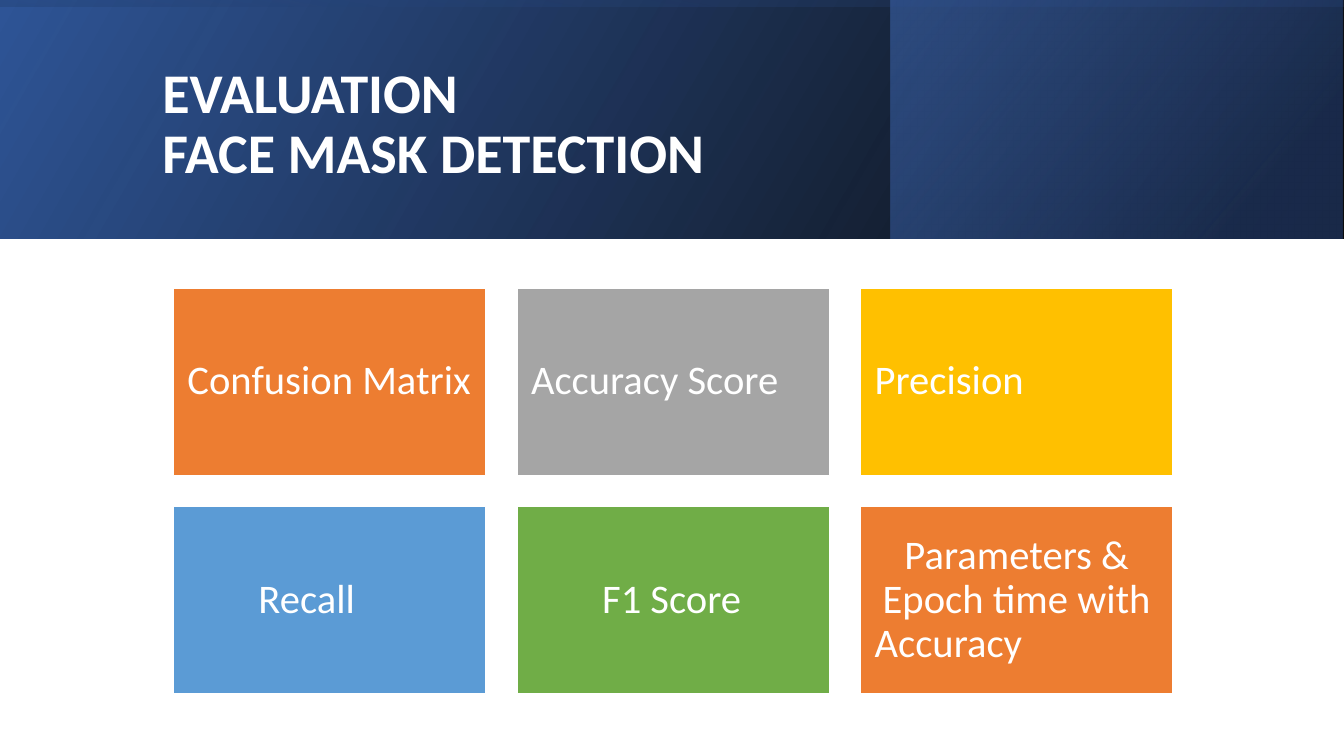
from dataclasses import dataclass
from lxml.etree import SubElement as Sub
from pptx import Presentation
from pptx.dml.color import RGBColor as Rgb
from pptx.enum.shapes import MSO_SHAPE as Shape
from pptx.enum.text import MSO_ANCHOR as Anchor, MSO_AUTO_SIZE as Fit, PP_ALIGN as Align
from pptx.oxml.ns import qn
from pptx.util import Cm, Pt


@dataclass(frozen=True)
class Theme:
    font: str = "Calibri"
    white: str = "FFFFFF"
    black: str = "000000"
    navy: str = "203864"
    deep: str = "2F5597"
    blue: str = "4472C4"
    orange: str = "ED7D31"
    gray: str = "A5A5A5"
    gold: str = "FFC000"
    sky: str = "5B9BD5"
    green: str = "70AD47"
    title: int = 40
    card: int = 29


LOOK = Theme()
WIDE, HIGH = 33.87, 19.05
BAND = 6.02  # banner height

CARDS = [
    ("Confusion Matrix", LOOK.orange),
    ("Accuracy Score", LOOK.gray),
    ("Precision", LOOK.gold),
    ("Recall", LOOK.sky),
    ("F1 Score", LOOK.green),
    ("Parameters & Epoch time with Accuracy", LOOK.orange),
]


def write(frame, text, size, bold=False, align=Align.LEFT, inset=None,
          before=0, after=0, tab=None):
    """Fill a text frame with one formatted paragraph."""
    frame.text = text
    frame.word_wrap = True
    frame.auto_size = Fit.NONE
    frame.vertical_anchor = Anchor.MIDDLE
    if inset is not None:
        frame.margin_left = frame.margin_right = Cm(inset)
        frame.margin_top = frame.margin_bottom = Cm(inset)
    para = frame.paragraphs[0]
    para.alignment, para.line_spacing = align, 0.9
    para.space_before, para.space_after = Pt(before), Pt(after)
    if tab:
        para._p.get_or_add_pPr().set("defTabSz", str(Pt(tab)))
    for run in para.runs:
        font = run.font
        font.name, font.size, font.bold = LOOK.font, Pt(size), bold
        font.color.rgb = Rgb.from_string(LOOK.white)


def block(slide, left, top, width, height):
    """Add a plain rectangle."""
    box = slide.shapes.add_shape(
        Shape.RECTANGLE, Cm(left), Cm(top), Cm(width), Cm(height))
    box.shadow.inherit = False
    return box


def fade(slide, place, stops, angle, turn=0):
    """Add a mirrored rectangle with a see-through gradient."""
    box = block(slide, *place)
    box.rotation = turn
    box.line.fill.background()
    box.fill.gradient()
    props = box._element.spPr
    props.find(qn("a:xfrm")).set("flipH", "1")
    grad = props.find(qn("a:gradFill"))
    for child in list(grad):
        grad.remove(child)
    group = Sub(grad, qn("a:gsLst"))
    for spot, color, alpha in stops:
        stop = Sub(group, qn("a:gs"), pos=str(spot * 1000))
        tone = Sub(stop, qn("a:srgbClr"), val=color)
        Sub(tone, qn("a:alpha"), val=str(alpha * 1000))
    Sub(grad, qn("a:lin"), ang=str(angle * 60000), scaled="0")


def card(slide, place, text, color):
    """Add a filled card; the closing tab shifts its last line."""
    box = block(slide, *place)
    box.fill.solid()
    box.fill.fore_color.rgb = Rgb.from_string(color)
    box.line.color.rgb = Rgb.from_string(LOOK.white)
    box.line.width = Pt(1)
    write(box.text_frame, text + "\t", LOOK.card, align=Align.CENTER,
          inset=0.31, after=10, tab=101.5)


def banner(slide):
    fade(slide, (0, 0, WIDE, BAND),
         [(0, LOOK.black, 96), (100, LOOK.deep, 100)], 330)
    fade(slide, (22.45, 0, 11.38, BAND),
         [(19, LOOK.navy, 68), (100, LOOK.blue, 48)], 320)
    # Turned a quarter, this one covers the whole banner
    side = (WIDE - BAND) / 2
    fade(slide, (side, -side, BAND, WIDE),
         [(23, LOOK.deep, 16), (99, LOOK.black, 45)], 350, turn=270)


def heading(slide):
    title = slide.shapes.title
    title.left, title.top = Cm(3.84), Cm(0.97)
    title.width, title.height = Cm(27), Cm(4.37)
    write(title.text_frame, "EVALUATION\vFACE MASK DETECTION", LOOK.title,
          bold=True, before=12)
    # Bring the title in front of the banner
    slide.shapes._spTree.append(title._element)


def grid(slide):
    left, top, width, height, gap = 4.37, 7.26, 7.87, 4.72, 0.79
    for i, (text, color) in enumerate(CARDS):
        row, col = divmod(i, 3)
        place = (left + col * (width + gap), top + row * (height + gap),
                 width, height)
        card(slide, place, text, color)


def main():
    deck = Presentation()
    deck.slide_width, deck.slide_height = Cm(WIDE), Cm(HIGH)
    slide = deck.slides.add_slide(deck.slide_layouts[5])
    banner(slide)
    heading(slide)
    grid(slide)
    deck.save("out.pptx")


main()
